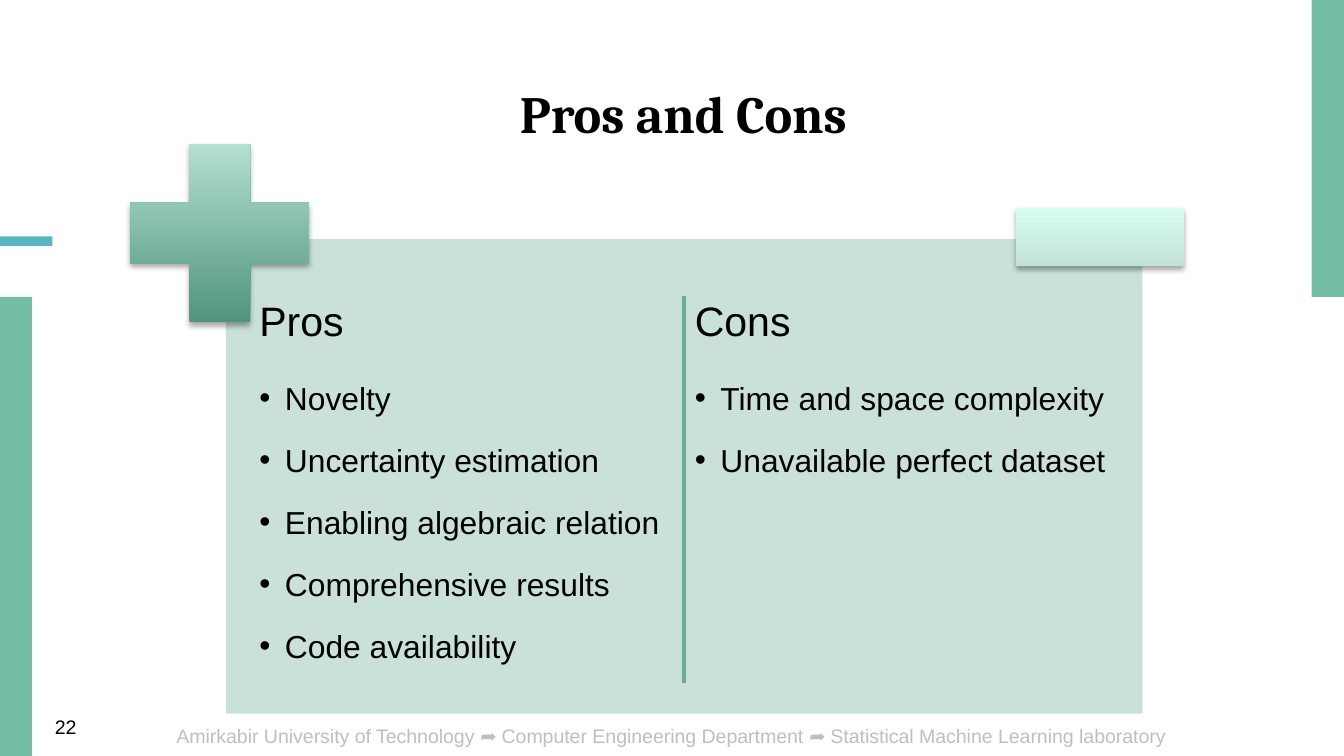
from lxml import etree
from pptx import Presentation
from pptx.dml.color import RGBColor
from pptx.enum.shapes import MSO_CONNECTOR, MSO_SHAPE
from pptx.enum.text import MSO_ANCHOR, MSO_AUTO_SIZE, PP_ALIGN
from pptx.oxml import parse_xml
from pptx.oxml.ns import nsdecls, qn
from pptx.util import Inches, Pt

RECTANGLE, CROSS = MSO_SHAPE.RECTANGLE, MSO_SHAPE.CROSS
STRAIGHT = MSO_CONNECTOR.STRAIGHT
CENTER, LEFT = PP_ALIGN.CENTER, PP_ALIGN.LEFT
TOP, MIDDLE = MSO_ANCHOR.TOP, MSO_ANCHOR.MIDDLE
NO_AUTOFIT = MSO_AUTO_SIZE.NONE

# Content
TITLE = "Pros and Cons"
COLUMNS = [
    ("Pros", ["Novelty", "Uncertainty estimation", "Enabling algebraic relation",
              "Comprehensive results", "Code availability"]),
    ("Cons", ["Time and space complexity", "Unavailable perfect dataset"]),
]
FOOTER = ("Amirkabir University of Technology ➦ Computer Engineering Department ➦ "
          "Statistical Machine Learning laboratory")
PAGE_NUMBER = "22"

COLORS = {
    "green": "75BDA7", "blue": "58B6C0", "panel": "CAE1D9", "divider": "6AAC98",
    "plus_dark": "4F947F", "plus_light": "B4E0D0",
    "minus_dark": "C3E3D8", "minus_light": "D7FDF0",
    "text": "000000", "footer": "BFBFBF",
}

# Places: left, top, width, height
BACKDROP = [
    ((9.76, 0, 0.24, 2.21), "green"),
    ((0, 2.21, 0.24, 3.42), "green"),
    ((0, 1.76, 0.39, 0.07), "blue"),
    ((1.68, 1.78, 6.82, 3.53), "panel"),
]
SIGNS = [
    (CROSS, (0.97, 1.07, 1.33, 1.33), "plus"),
    (RECTANGLE, (7.56, 1.55, 1.25, 0.43), "minus"),
]
SMALL_TEXTS = [
    (FOOTER, (0.83, 5.34, 8.34, 0.29), CENTER, "footer"),
    (PAGE_NUMBER, (0.31, 5.27, 0.59, 0.28), LEFT, "text"),
]
TITLE_BOX = (0.83, 0.41, 8.34, 0.63)
DIVIDER = (5.09, 2.2, 5.09, 5.08)
COLUMN_LEFT, COLUMN_STEP = 1.88, 3.24
COLUMN_TOP, COLUMN_WIDTH, COLUMN_HEIGHT = 2.19, 3.17, 3.02
BULLET_INDENT = 0.19


def color(name):
    return RGBColor.from_string(COLORS[name])


def inches(box):
    return [Inches(value) for value in box]


def place(shape, box):
    shape.left, shape.top, shape.width, shape.height = inches(box)


def format_runs(paragraph, size, font="Arial", color_name="text", bold=False):
    for run in paragraph.runs:
        run.font.size, run.font.name, run.font.bold = Pt(size), font, bold
        run.font.color.rgb = color(color_name)


def format_frame(text_frame, inset, anchor):
    text_frame.word_wrap = True
    text_frame.auto_size = NO_AUTOFIT
    text_frame.vertical_anchor = anchor
    text_frame.margin_left = text_frame.margin_right = Inches(inset)
    text_frame.margin_top = text_frame.margin_bottom = Inches(inset)


def set_indent(paragraph, margin, hanging=0, bullet=None):
    properties = paragraph._p.get_or_add_pPr()
    properties.set("marL", str(Inches(margin)))
    properties.set("indent", str(-Inches(hanging)))
    if bullet:
        etree.SubElement(properties, qn("a:buFont"), typeface="Arial")
        etree.SubElement(properties, qn("a:buChar"), char=bullet)
    else:
        etree.SubElement(properties, qn("a:buNone"))


def set_spacing(paragraph, line, after):
    paragraph.line_spacing = line
    paragraph.space_before, paragraph.space_after = Pt(0), Pt(after)


def add_soft_shadow(shape):
    shape._element.spPr.append(parse_xml(
        f'<a:effectLst {nsdecls("a")}>'
        f'<a:outerShdw blurRad="{Pt(3.1)}" dist="{Pt(1.8)}" dir="5400000" rotWithShape="0">'
        '<a:srgbClr val="000000"><a:alpha val="35000"/></a:srgbClr>'
        '</a:outerShdw></a:effectLst>'))


# A 16:9 slide
presentation = Presentation()
presentation.slide_width = Inches(10)
presentation.slide_height = Inches(10 * 9 / 16)
slide = presentation.slides.add_slide(presentation.slide_layouts[3])
shapes = slide.shapes
title, *bodies = slide.placeholders

# Side bars and panel, moved behind the placeholders
for position, (box, fill) in enumerate(BACKDROP, start=2):
    shape = shapes.add_shape(RECTANGLE, *inches(box))
    shape.shadow.inherit = False
    shape.fill.solid()
    shape.fill.fore_color.rgb = color(fill)
    shape.line.fill.background()
    shapes._spTree.insert(position, shape._element)

# Title
place(title, TITLE_BOX)
title.text_frame.text = TITLE
format_frame(title.text_frame, 0.1, MIDDLE)
heading = title.text_frame.paragraphs[0]
set_indent(heading, 0.17)
set_spacing(heading, 1.5, 0)
heading.alignment = CENTER
format_runs(heading, 28, "Cambria", bold=True)

# Two columns
for index, (body, (name, points)) in enumerate(zip(bodies, COLUMNS)):
    place(body, (COLUMN_LEFT + index * COLUMN_STEP, COLUMN_TOP, COLUMN_WIDTH, COLUMN_HEIGHT))
    body.text_frame.text = "\n".join([name, *points])
    format_frame(body.text_frame, 0.05, TOP)
    heading, *items = body.text_frame.paragraphs
    set_indent(heading, 0)
    set_spacing(heading, 0.9, 7.7)
    format_runs(heading, 22)
    for item in items:
        item.level = 1
        set_indent(item, BULLET_INDENT, BULLET_INDENT, "•")
        set_spacing(item, 1.5, 2.55)
        format_runs(item, 17)

# Plus and minus signs
for kind, box, name in SIGNS:
    sign = shapes.add_shape(kind, *inches(box))
    if kind == CROSS:
        sign.adjustments[0] = 0.33
    sign.fill.gradient()
    sign.fill.gradient_angle = 90
    for stop, tone in zip(sign.fill.gradient_stops, ("dark", "light")):
        stop.color.rgb = color(f"{name}_{tone}")
    sign.line.fill.background()
    add_soft_shadow(sign)

# Divider between the columns
divider = shapes.add_connector(STRAIGHT, *inches(DIVIDER))
divider.line.color.rgb = color("divider")
divider.line.width = Pt(2)
etree.SubElement(divider._element.spPr, qn("a:effectLst"))

# Footer and page number
for text, box, alignment, color_name in SMALL_TEXTS:
    text_frame = shapes.add_textbox(*inches(box)).text_frame
    text_frame.word_wrap = True
    text_frame.text = text
    paragraph = text_frame.paragraphs[0]
    paragraph.alignment = alignment
    format_runs(paragraph, 10.5, color_name=color_name)

presentation.save("out.pptx")
